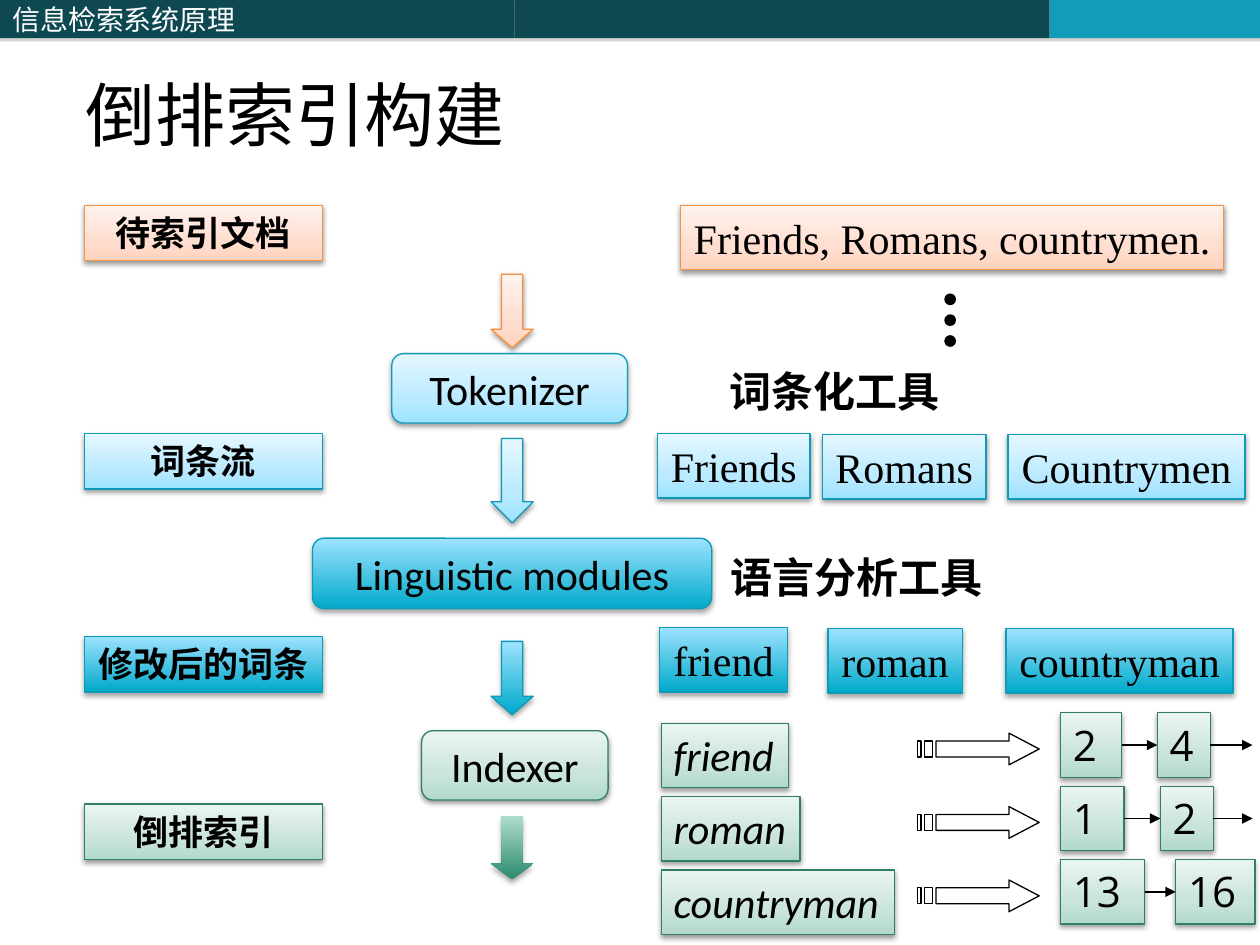
from dataclasses import dataclass
from typing import NamedTuple, Optional

from lxml.etree import SubElement
from pptx import Presentation
from pptx.dml.color import RGBColor
from pptx.enum.shapes import MSO_CONNECTOR as CONN, MSO_SHAPE as SHAPE
from pptx.enum.text import MSO_ANCHOR as ANCHOR, PP_ALIGN as ALIGN
from pptx.oxml.ns import qn
from pptx.util import Cm, Pt

COLORS = {
    "black": "000000", "white": "FFFFFF", "header": "0E4851",
    "accent": "139CB7", "gray": "808080", "teal": "0F9BB7",
    "orange": "F69240", "green": "327D67",
}
SERIF, SANS, CJK, LABEL = "Times New Roman", "Calibri", "Noto Sans CJK SC", "Open Sans"
BOX_H = 1.3
ROW_STEP = 1.48


@dataclass(frozen=True)
class Shadow:
    color: str = "black"
    alpha: int = 38
    blur: float = 3.1
    dist: float = 1.6


@dataclass(frozen=True)
class Theme:
    """Gradient stops run from the bottom edge (0) to the top edge (100)."""
    stops: tuple
    line: Optional[str]
    shadow: Shadow = Shadow()


@dataclass(frozen=True)
class Style:
    font: str
    size: int = 24
    color: str = "black"
    bold: bool = False
    italic: bool = False
    align: ALIGN = ALIGN.CENTER
    anchor: ANCHOR = ANCHOR.MIDDLE
    wrap: bool = False


class Box(NamedTuple):
    text: str
    x: float
    y: float
    w: float
    h: float = BOX_H


class Arrow(NamedTuple):
    y: float
    h: float
    head: float
    theme: Theme


DEEP = Shadow(alpha=35, dist=1.8)
HEADER_SHADOW = Shadow("gray", 35, 0, 1.8)
PEACH = Theme(((0, "FFD2BD"), (35, "FFDED0"), (100, "FFF2ED")), "orange")
SKY = Theme(((0, "9DE3FF"), (35, "BAEAFF"), (100, "E5F7FF")), "teal")
CYAN = Theme(((0, "00A9CA"), (100, "9DE3FF")), "teal", DEEP)
MINT = Theme(((0, "B2D9CA"), (35, "C9E4D9"), (100, "EAF5F1")), "green")
JADE = Theme(((0, "2A896E"), (100, "AEDDCB")), None, DEEP)

HEADER_TEXT = Style(CJK, 16, "white", align=ALIGN.LEFT)
TITLE = Style(SERIF, 40, align=ALIGN.LEFT, anchor=ANCHOR.BOTTOM, wrap=True)
STAGE = Style(LABEL, 20, bold=True, anchor=ANCHOR.TOP)
PROCESS = Style(SANS)
TOKEN = Style(SERIF)
CAPTION = Style(SERIF, bold=True)
TERM = Style(SANS, italic=True, align=ALIGN.LEFT, anchor=ANCHOR.TOP)
POSTING = Style(LABEL, align=ALIGN.LEFT, anchor=ANCHOR.TOP)

STAGES = [("待索引文档", 4.14, PEACH), ("词条流", 8.74, SKY),
          ("修改后的词条", 12.83, CYAN), ("倒排索引", 16.21, MINT)]
ARROWS = [Arrow(5.53, 1.48, 0.438, PEACH), Arrow(8.84, 1.7, 0.5, SKY),
          Arrow(12.93, 1.48, 0.438, CYAN), Arrow(16.46, 1.27, 0.375, JADE)]
PROCESSES = [(Box("Tokenizer", 7.9, 7.13, 4.75, 1.4), SKY),
             (Box("Linguistic modules", 6.3, 10.85, 8.05, 1.42), CYAN),
             (Box("Indexer", 8.5, 14.73, 3.76, 1.4), MINT)]
TOKENS = [(Box("Friends, Romans, countrymen.", 13.72, 4.14, 10.95), PEACH),
          (Box("Friends", 13.26, 8.74, 3.07), SKY),
          (Box("Romans", 16.58, 8.76, 3.3), SKY),
          (Box("Countrymen", 20.32, 8.76, 4.78), SKY),
          (Box("friend", 13.3, 12.65, 2.57), CYAN),
          (Box("roman", 16.69, 12.67, 2.71), CYAN),
          (Box("countryman", 20.28, 12.67, 4.58), CYAN)]
CAPTIONS = [Box("词条化工具", 14.43, 7.24, 4.8, 1.27),
            Box("语言分析工具", 14.45, 11, 5.64, 1.27)]
# term, box width, then (document id, left, width) of each posting
INDEX = [("friend", 2.57, [("2", 21.38, 1.23), ("4", 23.33, 1.07)]),
         ("roman", 2.8, [("1", 21.38, 1.28), ("2", 23.39, 1.07)]),
         ("countryman", 4.7, [("13", 21.38, 1.7), ("16", 23.7, 1.6)])]


def rgb(name: str) -> RGBColor:
    return RGBColor.from_string(COLORS[name])


def set_text(sp, text: str, style: Style) -> None:
    tf = sp.text_frame
    tf.text = text
    tf.word_wrap = style.wrap
    tf.vertical_anchor = style.anchor
    p = tf.paragraphs[0]
    p.alignment = style.align
    font = p.runs[0].font
    font.name, font.size = style.font, Pt(style.size)
    font.bold, font.italic = style.bold, style.italic
    font.color.rgb = rgb(style.color)


def set_shadow(sp, shadow: Shadow) -> None:
    """Cast a shadow straight down."""
    sp.shadow.inherit = False
    effects = sp._element.spPr.find(qn("a:effectLst"))
    outer = SubElement(effects, qn("a:outerShdw"), blurRad=str(Pt(shadow.blur)),
                       dist=str(Pt(shadow.dist)), dir="5400000", rotWithShape="0")
    color = SubElement(outer, qn("a:srgbClr"), val=COLORS[shadow.color])
    SubElement(color, qn("a:alpha"), val=str(shadow.alpha * 1000))


def add_themed(shapes, kind: SHAPE, box: Box, theme: Theme, style: Optional[Style] = None):
    sp = shapes.add_shape(kind, *map(Cm, box[1:]))
    sp.fill.gradient()
    sp.fill.gradient_angle = 90
    stops = sp._element.spPr.find(qn("a:gradFill")).find(qn("a:gsLst"))
    stops[:] = []
    for pos, color in theme.stops:
        stop = SubElement(stops, qn("a:gs"), pos=str(pos * 1000))
        SubElement(stop, qn("a:srgbClr"), val=color)
    if theme.line:
        sp.line.color.rgb, sp.line.width = rgb(theme.line), Pt(0.75)
    else:
        sp.line.fill.background()
    set_shadow(sp, theme.shadow)
    if style:
        set_text(sp, box.text, style)
    return sp


def add_textbox(shapes, box: Box, style: Style) -> None:
    set_text(shapes.add_textbox(*map(Cm, box[1:])), box.text, style)


def add_header(shapes) -> None:
    bars = [(0, 10.37, "header"), (10.37, 10.79, "header"), (21.16, 4.24, "accent")]
    for i, (x, w, color) in enumerate(bars):
        sp = shapes.add_shape(SHAPE.RECTANGLE, Cm(x), 0, Cm(w), Cm(0.77))
        sp.fill.solid()
        sp.fill.fore_color.rgb = rgb(color)
        sp.line.fill.background()
        set_shadow(sp, HEADER_SHADOW)
        if i == 0:
            set_text(sp, "信息检索系统原理", HEADER_TEXT)


def add_striped_arrow(shapes, x: float, y: float) -> None:
    top, bottom = 0.16, 0.48
    head = [(1.85, 0), (1.85, top), (0.38, top), (0.38, bottom),
            (1.85, bottom), (1.85, 0.64), (2.46, 0.32)]
    bars = [[(a, top), (a, bottom), (b, bottom), (b, top)]
            for a, b in ((0.15, 0.31), (0, 0.08))]
    outlines = [[(Cm(x + dx), Cm(y + dy)) for dx, dy in part] for part in (head, *bars)]
    builder = shapes.build_freeform(*outlines[0][0])
    builder.add_line_segments(outlines[0][1:])
    for start, *rest in outlines[1:]:
        builder.move_to(*start)
        builder.add_line_segments(rest)
    sp = builder.convert_to_shape()
    sp.fill.background()
    sp.line.color.rgb, sp.line.width = rgb("black"), Pt(0.75)
    sp.shadow.inherit = False


def add_link(shapes, left, right=None) -> None:
    """Point from a posting to the next one, or to the slide's edge."""
    y = left.top + left.height // 2
    cx = shapes.add_connector(CONN.STRAIGHT, left.left + left.width, y, Cm(25.25), y)
    cx.begin_connect(left, 3)
    if right is not None:
        cx.end_connect(right, 1)
    cx.line.color.rgb, cx.line.width = rgb("black"), Pt(0.75)
    SubElement(cx.line._get_or_add_ln(), qn("a:tailEnd"), type="triangle")
    SubElement(cx._element.spPr, qn("a:effectLst"))


def add_index(shapes) -> None:
    for i, (term, width, postings) in enumerate(INDEX):
        dy = i * ROW_STEP
        add_themed(shapes, SHAPE.RECTANGLE, Box(term, 13.33, 14.58 + dy, width), MINT, TERM)
        add_striped_arrow(shapes, 18.49, 14.78 + dy)
        first, second = [
            add_themed(shapes, SHAPE.RECTANGLE, Box(doc, x, 14.37 + dy, w), MINT, POSTING)
            for doc, x, w in postings]
        add_link(shapes, first, second)
        if i < len(INDEX) - 1:
            add_link(shapes, second)


def main() -> None:
    prs = Presentation()
    prs.slide_width, prs.slide_height = Cm(25.4), Cm(19.05)
    shapes = prs.slides.add_slide(prs.slide_layouts[6]).shapes
    add_header(shapes)
    add_textbox(shapes, Box("倒排索引构建", 1.47, 0.91, 22.43, 2.36), TITLE)
    for arrow in ARROWS:
        sp = add_themed(shapes, SHAPE.DOWN_ARROW, Box("", 9.9, arrow.y, 0.85, arrow.h), arrow.theme)
        sp.adjustments[1] = arrow.head
    for text, y, theme in STAGES:
        add_themed(shapes, SHAPE.RECTANGLE, Box(text, 1.7, y, 4.8, 1.12), theme, STAGE)
    for box, theme in PROCESSES:
        add_themed(shapes, SHAPE.FLOWCHART_ALTERNATE_PROCESS, box, theme, PROCESS)
    for box, theme in TOKENS:
        add_themed(shapes, SHAPE.RECTANGLE, box, theme, TOKEN)
    for box in CAPTIONS:
        add_textbox(shapes, box, CAPTION)
    for i in range(3):
        dot = shapes.add_shape(SHAPE.OVAL, Cm(19.05), Cm(5.93 + i * 0.42), Cm(0.21), Cm(0.21))
        dot.fill.solid()
        dot.fill.fore_color.rgb = dot.line.color.rgb = rgb("black")
        dot.line.width = Pt(0.75)
        dot.shadow.inherit = False
    add_index(shapes)
    prs.save("out.pptx")


if __name__ == "__main__":
    main()
